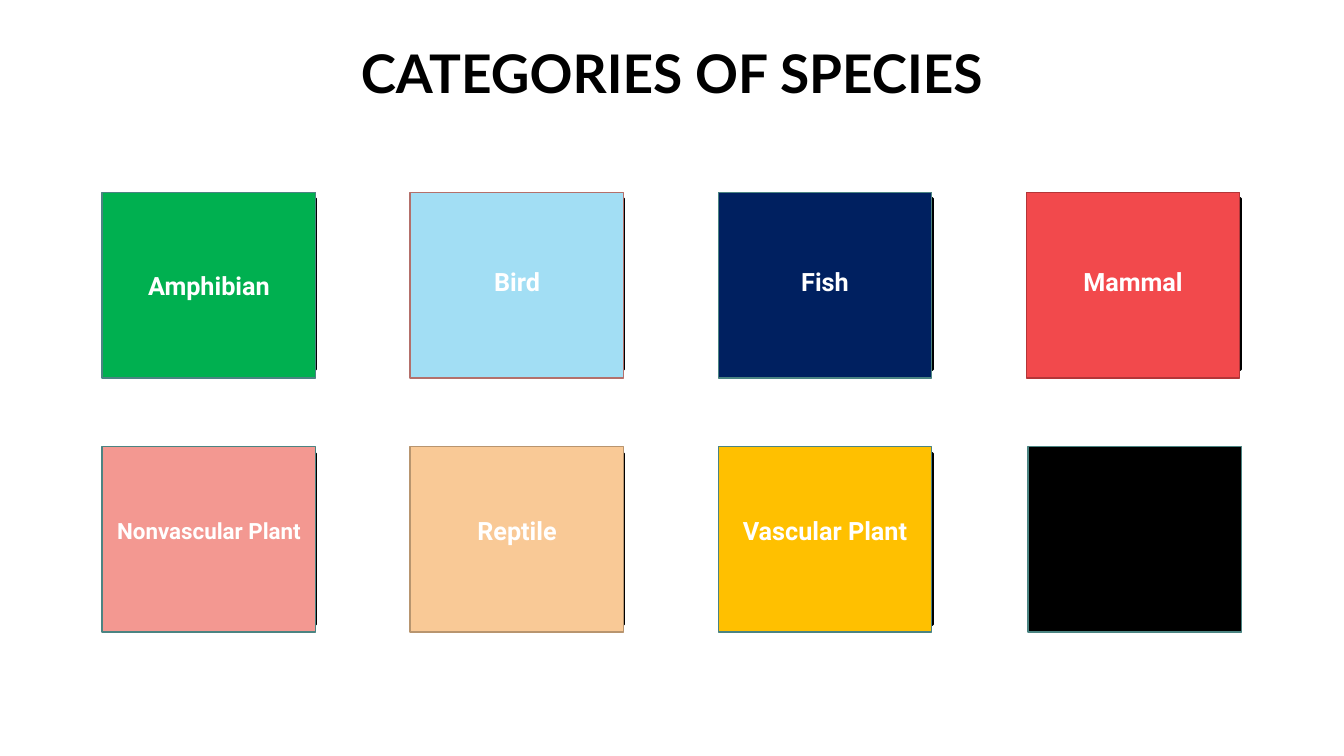
from pptx import Presentation
from pptx.dml.color import RGBColor
from pptx.enum.shapes import MSO_SHAPE
from pptx.enum.text import MSO_ANCHOR, PP_ALIGN
from pptx.util import Pt

BLACK = RGBColor(0x00, 0x00, 0x00)
WHITE = RGBColor(0xFF, 0xFF, 0xFF)
GREEN = RGBColor(0x00, 0xB0, 0x50)
SKY = RGBColor(0xA2, 0xDE, 0xF4)
NAVY = RGBColor(0x00, 0x20, 0x60)
RED = RGBColor(0xF2, 0x49, 0x4C)
PINK = RGBColor(0xF3, 0x98, 0x91)
PEACH = RGBColor(0xF9, 0xC9, 0x96)
GOLD = RGBColor(0xFF, 0xC0, 0x00)
TEAL = RGBColor(0x4B, 0x84, 0x82)
ROSE = RGBColor(0xB4, 0x70, 0x6B)
DARK_RED = RGBColor(0xB3, 0x36, 0x38)
TAN = RGBColor(0xB8, 0x95, 0x6F)

TITLE = "CATEGORIES OF SPECIES"
# name, fill, outline, label size, label top
CATEGORIES = [
    ("Amphibian", GREEN, TEAL, 18, 189.4),
    ("Bird", SKY, ROSE, 18, 186.5),
    ("Fish", NAVY, TEAL, 18, 186.5),
    ("Mammal", RED, DARK_RED, 18, 186.5),
    ("Nonvascular Plant", PINK, TEAL, 16, 365.8),
    ("Reptile", PEACH, TAN, 18, 364.3),
    ("Vascular Plant", GOLD, TEAL, 18, 364.3),
    ("", BLACK, TEAL, 18, 364.3),
]
COLUMNS = 4
CARD_LEFT, CARD_STEP, CARD_TOPS = 73, 220, (137.5, 319)
CARD_W, CARD_H = 152.6, 132.5
FRAME_LEFT, FRAME_STEP, FRAME_TOPS = 74.2, 220.3, (141.8, 324)
FRAME_W, FRAME_H = 151.2, 122.4
LABEL_H = 29


def add_box(s, x, y, w, h, line, width, fill=None):
    sp = s.shapes.add_shape(MSO_SHAPE.RECTANGLE, Pt(x), Pt(y), Pt(w), Pt(h))
    sp.shadow.inherit = False
    if fill is None:
        sp.fill.background()
    else:
        sp.fill.solid()
        sp.fill.fore_color.rgb = fill
    sp.line.color.rgb = line
    sp.line.width = Pt(width)


def add_text(s, text, x, y, w, h, font, size, color, anchor=MSO_ANCHOR.TOP):
    tf = s.shapes.add_textbox(Pt(x), Pt(y), Pt(w), Pt(h)).text_frame
    tf.word_wrap = True
    tf.vertical_anchor = anchor
    p = tf.paragraphs[0]
    p.text = text
    p.alignment = PP_ALIGN.CENTER
    p.font.name = font
    p.font.size = Pt(size)
    p.font.bold = True
    p.font.color.rgb = color
    return p


prs = Presentation()
prs.slide_width, prs.slide_height = Pt(960), Pt(540)
s = prs.slides.add_slide(prs.slide_layouts[6])

for i in range(len(CATEGORIES)):
    row, col = divmod(i, COLUMNS)
    add_box(s, FRAME_LEFT + col * FRAME_STEP, FRAME_TOPS[row],
            FRAME_W, FRAME_H, BLACK, 2)

title = add_text(s, TITLE, 66, 2, 828, 104.4, "Lato", 38, BLACK, MSO_ANCHOR.MIDDLE)
title.line_spacing = 0.9

for i, (name, fill, outline, size, label_top) in enumerate(CATEGORIES):
    row, col = divmod(i, COLUMNS)
    x = CARD_LEFT + col * CARD_STEP
    if not name:
        x += 1.4  # the unnamed card covers its frame
    add_box(s, x, CARD_TOPS[row], CARD_W, CARD_H, outline, 1, fill)
    if name:
        add_text(s, name, x, label_top, CARD_W, LABEL_H, "Roboto", size, WHITE)

prs.save("out.pptx")
